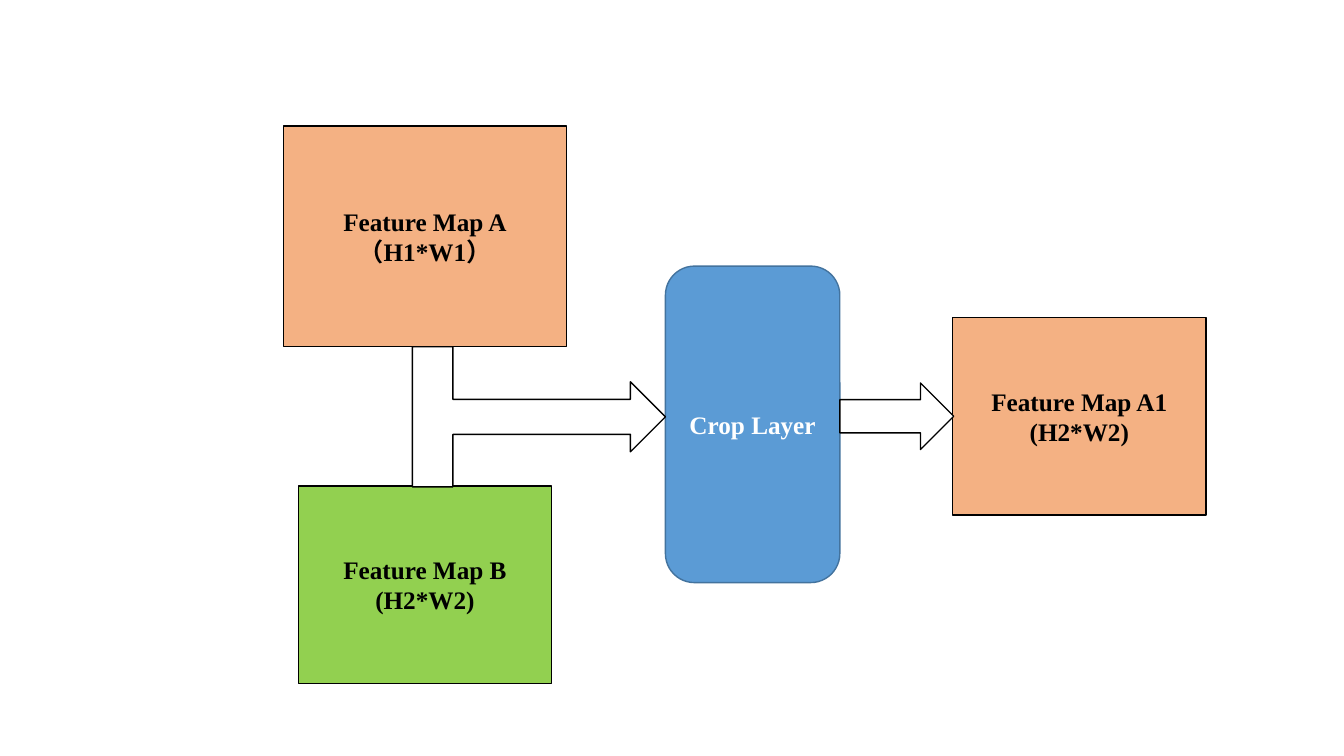
from pptx import Presentation
from pptx.dml.color import RGBColor
from pptx.enum.shapes import MSO_SHAPE as Shape
from pptx.enum.text import MSO_ANCHOR as Anchor, PP_ALIGN as Align
from pptx.util import Inches, Pt

BLACK = RGBColor(0x00, 0x00, 0x00)
WHITE = RGBColor(0xFF, 0xFF, 0xFF)
ORANGE = RGBColor(0xF4, 0xB1, 0x83)
GREEN = RGBColor(0x92, 0xD0, 0x50)
BLUE = RGBColor(0x5B, 0x9B, 0xD5)
NAVY = RGBColor(0x43, 0x73, 0x9E)

deck = Presentation()
deck.slide_width, deck.slide_height = Inches(13.33), Inches(7.5)
slide = deck.slides.add_slide(deck.slide_layouts[6])


def add_part(kind, box, fill, line=BLACK):
    part = slide.shapes.add_shape(kind, *[Inches(n) for n in box])
    part.shadow.inherit = False
    part.fill.solid()
    part.fill.fore_color.rgb = fill
    part.line.color.rgb = line
    part.line.width = Pt(1)
    return part


# Feature maps and crop layer: kind, box, fill, line, text colour, text
blocks = [
    (Shape.RECTANGLE, (2.81, 1.25, 2.81, 2.19), ORANGE, BLACK, BLACK,
     "Feature Map A\n（H1*W1）"),
    (Shape.RECTANGLE, (2.96, 4.82, 2.51, 1.96), GREEN, BLACK, BLACK,
     "Feature Map B\n(H2*W2)"),
    (Shape.ROUNDED_RECTANGLE, (6.6, 2.64, 1.73, 3.14), BLUE, NAVY, WHITE,
     "Crop Layer"),
    (Shape.RECTANGLE, (9.45, 3.15, 2.51, 1.96), ORANGE, BLACK, BLACK,
     "Feature Map A1\n(H2*W2)"),
]
for kind, box, fill, line, color, text in blocks:
    frame = add_part(kind, box, fill, line).text_frame
    frame.text = text
    frame.word_wrap = True
    frame.vertical_anchor = Anchor.MIDDLE
    for para in frame.paragraphs:
        para.alignment = Align.CENTER
        for run in para.runs:
            run.font.name = "Times New Roman"
            run.font.size = Pt(18)
            run.font.bold = True
            run.font.color.rgb = color

# Arrow from the crop layer to the result
add_part(Shape.RIGHT_ARROW, (8.33, 3.8, 1.13, 0.66), WHITE)

# Arrow joining both inputs to the crop layer
joint = add_part(Shape.RIGHT_ARROW_CALLOUT, (4.09, 3.44, 2.51, 1.39), WHITE)
for i, ratio in enumerate((0.25, 0.25, 0.25, 0.16)):
    joint.adjustments[i] = ratio

deck.save("out.pptx")
